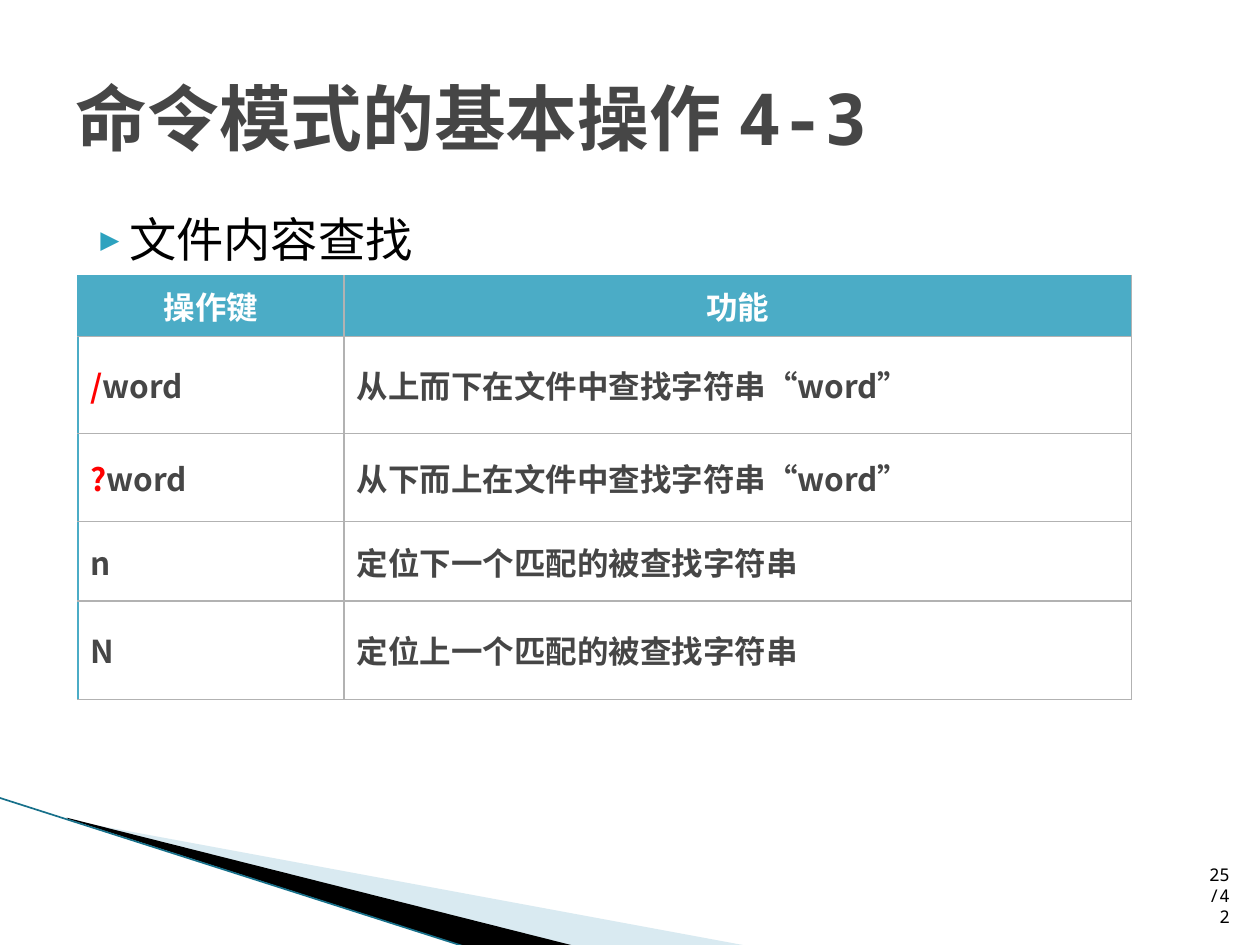
from dataclasses import dataclass

from lxml.etree import SubElement
from pptx import Presentation
from pptx.dml.color import RGBColor
from pptx.enum.shapes import MSO_CONNECTOR as Connector
from pptx.enum.text import MSO_ANCHOR as Anchor, MSO_AUTO_SIZE as AutoSize, PP_ALIGN as Align
from pptx.oxml import parse_xml
from pptx.oxml.ns import nsdecls, qn
from pptx.util import Emu, Inches, Pt

COLUMNS, ROWS = 100, 75
MONO, SANS = "Noto Sans Mono", "Noto Sans CJK SC"
BLACK, WHITE, GRAY, RED = "000000", "FFFFFF", "464646", "FF0000"
TEAL, RULE, BULLET, PALE, EDGE = "4BACC6", "B2B2B2", "2DA2BF", "A0CBDC", "17708A"


@dataclass(frozen=True)
class Area:
    left: float
    top: float
    width: float
    height: float


@dataclass(frozen=True)
class Style:
    face: str
    size: float
    bold: bool = False
    align: Align = Align.LEFT


@dataclass(frozen=True)
class Piece:
    text: str
    color: str = GRAY


@dataclass(frozen=True)
class Wedge:
    points: tuple
    color: str
    opacity: int = 100


@dataclass(frozen=True)
class Command:
    key: tuple
    meaning: str
    height: float


TABLE_STYLE = Style(SANS, 18, True)
HEADER_STYLE = Style(SANS, 18, True, Align.CENTER)
HEADINGS = ("操作键", "功能")
HEADER_HEIGHT = 4.8
COLUMN_WIDTHS = (21.1, 62.5)
COMMANDS = (
    Command((Piece("/", RED), Piece("word")), "从上而下在文件中查找字符串“word”", 7.7),
    Command((Piece("?", RED), Piece("word")), "从下而上在文件中查找字符串“word”", 7),
    Command((Piece("n"),), "定位下一个匹配的被查找字符串", 6.3),
    Command((Piece("N"),), "定位上一个匹配的被查找字符串", 7.8),
)
WEDGES = (
    Wedge(((5.5, 65.1), (59.5, 75.1), (45.6, 75.1), (5.5, 65)), PALE, 40),
    Wedge(((5.3, 64.9), (45.7, 75.1), (37.2, 75.2), (5.4, 65)), BLACK),
)

deck = Presentation()
deck.slide_width, deck.slide_height = Inches(10), Inches(7.5)


def across(columns: float) -> Emu:
    return Emu(round(deck.slide_width * columns / COLUMNS))


def down(rows: float) -> Emu:
    return Emu(round(deck.slide_height * rows / ROWS))


def bounds(area: Area) -> tuple:
    return across(area.left), down(area.top), across(area.width), down(area.height)


def rgb(color: str) -> RGBColor:
    return RGBColor.from_string(color)


def move(shape, area: Area) -> None:
    shape.left, shape.top, shape.width, shape.height = bounds(area)


def write(para, pieces: tuple, style: Style) -> None:
    para.alignment = style.align
    font = para.font
    font.name, font.size, font.bold = style.face, Pt(style.size), style.bold
    defaults = para._p.pPr.find(qn("a:defRPr"))
    SubElement(defaults, qn("a:ea"), typeface=SANS)
    for piece in pieces:
        span = para.add_run()
        span.text = piece.text
        span.font.color.rgb = rgb(piece.color)


def fill_frame(shape, area: Area, anchor: Anchor, piece: Piece, style: Style):
    move(shape, area)
    frame = shape.text_frame
    frame.word_wrap, frame.auto_size = True, AutoSize.NONE
    frame.vertical_anchor = anchor
    para = frame.paragraphs[0]
    write(para, (piece,), style)
    return para


def add_bullet(para, left: float, hanging: float) -> None:
    para.space_before = Pt(4)
    props = para._p.get_or_add_pPr()
    props.set("marL", str(across(left)))
    props.set("indent", str(-across(hanging)))
    defaults = props.find(qn("a:defRPr"))
    for markup in (
        f'<a:buClr {nsdecls("a")}><a:srgbClr val="{BULLET}"/></a:buClr>',
        f'<a:buSzPct {nsdecls("a")} val="68000"/>',
        f'<a:buFont {nsdecls("a")} typeface="{MONO}"/>',
        f'<a:buChar {nsdecls("a")} char="▶"/>',
    ):
        defaults.addprevious(parse_xml(markup))


def draw_wedge(slide, wedge: Wedge) -> None:
    start, *rest = [(across(x), down(y)) for x, y in wedge.points]
    builder = slide.shapes.build_freeform(*start)
    builder.add_line_segments(rest)
    shape = builder.convert_to_shape()
    shape.shadow.inherit = False
    shape.line.fill.background()
    shape.fill.solid()
    shape.fill.fore_color.rgb = rgb(wedge.color)
    if wedge.opacity < 100:
        color = shape._element.spPr.find(qn("a:solidFill"))[0]
        SubElement(color, qn("a:alpha"), val=str(wedge.opacity * 1000))


def draw_edge(slide) -> None:
    edge = slide.shapes.add_connector(
        Connector.STRAIGHT, across(-0.1), down(63.3), across(37.1), down(75.2))
    edge.line.color.rgb, edge.line.width = rgb(EDGE), Pt(0.95)
    SubElement(edge._element.spPr, qn("a:effectLst"))


def set_borders(cell, left: str, top: str) -> None:
    props = cell._tc.get_or_add_tcPr()
    sides = {"lnL": left, "lnR": RULE, "lnT": top, "lnB": RULE}
    for place, (side, color) in enumerate(sides.items()):
        props.insert(place, parse_xml(
            f'<a:{side} {nsdecls("a")} w="{Pt(1)}"><a:solidFill>'
            f'<a:srgbClr val="{color}"/></a:solidFill></a:{side}>'))


def fill_row(table, row: int, contents: tuple, style: Style) -> None:
    header = row == 0
    for column, pieces in enumerate(contents):
        cell = table.cell(row, column)
        cell.vertical_anchor = Anchor.MIDDLE
        if header:
            cell.fill.solid()
            cell.fill.fore_color.rgb = rgb(TEAL)
        else:
            cell.fill.background()
        set_borders(cell, RULE if column else TEAL, TEAL if header else RULE)
        write(cell.text_frame.paragraphs[0], pieces, style)


def draw_table(slide) -> None:
    heights = (HEADER_HEIGHT, *(command.height for command in COMMANDS))
    area = Area(6.2, 21.9, sum(COLUMN_WIDTHS), sum(heights))
    table = slide.shapes.add_table(len(heights), len(COLUMN_WIDTHS), *bounds(area)).table
    table.first_row = table.horz_banding = False
    for column, width in zip(table.columns, COLUMN_WIDTHS):
        column.width = across(width)
    for row, height in zip(table.rows, heights):
        row.height = down(height)
    fill_row(table, 0, tuple((Piece(text, WHITE),) for text in HEADINGS), HEADER_STYLE)
    for row, command in enumerate(COMMANDS, start=1):
        fill_row(table, row, (command.key, (Piece(command.meaning),)), TABLE_STYLE)


def main() -> None:
    slide = deck.slides.add_slide(deck.slide_layouts[1])
    title, body = slide.placeholders
    for wedge in WEDGES:
        draw_wedge(slide, wedge)
    draw_edge(slide)
    topic = fill_frame(body, Area(5, 16.2, 90, 49.5), Anchor.TOP,
                       Piece("文件内容查找", BLACK), Style(MONO, 27))
    add_bullet(topic, 4, 2.8)
    area = Area(94.6, 70.1, 4, 4)
    fill_frame(slide.shapes.add_textbox(*bounds(area)), area, Anchor.BOTTOM,
               Piece("25/42", BLACK), Style(MONO, 10, align=Align.RIGHT))
    fill_frame(title, Area(5, 3, 90, 12.5), Anchor.MIDDLE,
               Piece("命令模式的基本操作 4-3"), Style(MONO, 41, True))
    draw_table(slide)
    deck.save("out.pptx")


if __name__ == "__main__":
    main()
